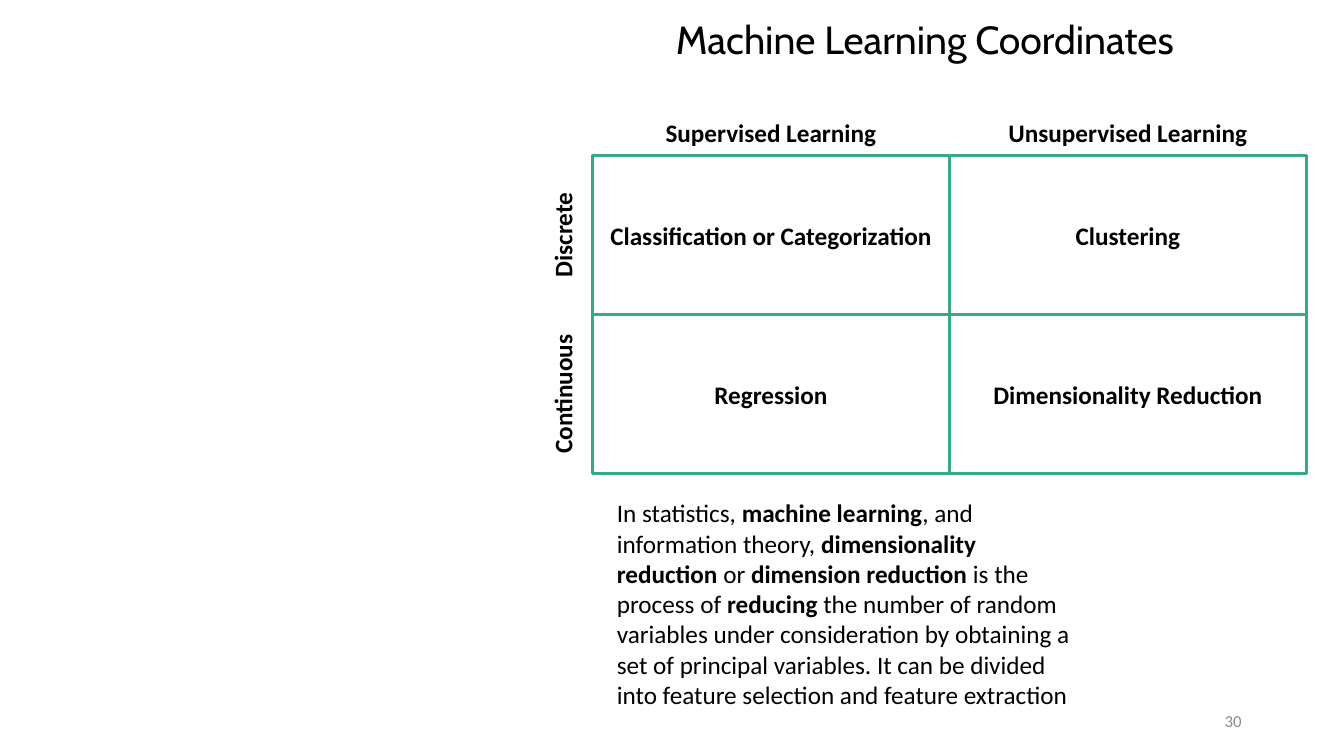
from pptx import Presentation
from pptx.dml.color import RGBColor
from pptx.enum import shapes, text
from pptx.util import Pt

BLACK = RGBColor(0x00, 0x00, 0x00)
WHITE = RGBColor(0xFF, 0xFF, 0xFF)
GREEN = RGBColor(0x37, 0xAA, 0x84)
GRAY = RGBColor(0x8C, 0x8C, 0x8C)

COLUMNS = ["Supervised Learning", "Unsupervised Learning"]
ROWS = ["Discrete", "Continuous"]
METHODS = [
    ["Classification or Categorization", "Clustering"],
    ["Regression", "Dimensionality Reduction"],
]
DEFINITION = [
    ("In statistics,\u00a0", False),
    ("machine learning", True),
    (", and information theory,\u00a0", False),
    ("dimensionality reduction ", True),
    ("or\u00a0", False),
    ("dimension reduction", True),
    ("\u00a0is the process of\u00a0", False),
    ("reducing", True),
    ("\u00a0the number of random variables under consideration by obtaining "
     "a set of principal variables. It can be divided into feature selection "
     "and feature extraction", False),
]
LABEL_HEIGHT = 29


def write(shape, spans, size=18, font="Calibri", color=BLACK,
          align=text.PP_ALIGN.CENTER, anchor=text.MSO_ANCHOR.TOP, spacing=1.0):
    frame = shape.text_frame
    frame.word_wrap = True
    frame.vertical_anchor = anchor
    para = frame.paragraphs[0]
    para.alignment = align
    para.line_spacing = spacing
    for words, bold in spans:
        span = para.add_run()
        span.text = words
        span.font.name = font
        span.font.size = Pt(size)
        span.font.bold = bold
        span.font.color.rgb = color


def add_text(page, box, spans, **style):
    shape = page.shapes.add_textbox(*map(Pt, box))
    write(shape, spans, **style)
    return shape


def add_title(page, box):
    add_text(page, box, [("Machine Learning Coordinates", False)],
             size=28, font="Cabin", spacing=0.9)


def add_method(page, box, name):
    cell = page.shapes.add_shape(
        shapes.MSO_SHAPE.FLOWCHART_PROCESS, *map(Pt, box))
    cell.shadow.inherit = False
    cell.fill.solid()
    cell.fill.fore_color.rgb = WHITE
    cell.line.color.rgb = GREEN
    cell.line.width = Pt(2.25)
    write(cell, [(name, True)], anchor=text.MSO_ANCHOR.MIDDLE)


def add_matrix(page, box):
    left, top, width, height = box
    cell_width = width / len(COLUMNS)
    cell_height = height / len(ROWS)
    for row, methods in enumerate(METHODS):
        for column, name in enumerate(methods):
            add_method(page, (left + column * cell_width,
                              top + row * cell_height,
                              cell_width, cell_height), name)
    for column, name in enumerate(COLUMNS):
        add_text(page, (left + column * cell_width, top - LABEL_HEIGHT - 1.5,
                        cell_width, LABEL_HEIGHT), [(name, True)])
    for row, name in enumerate(ROWS):
        middle = top + (row + 0.5) * cell_height
        label = add_text(page, (left - 21.5 - cell_height / 2,
                                middle - LABEL_HEIGHT / 2,
                                cell_height, LABEL_HEIGHT), [(name, True)])
        label.rotation = 270


def add_definition(page, box):
    add_text(page, box, DEFINITION, align=text.PP_ALIGN.LEFT)


def add_page_number(page, box):
    add_text(page, box, [("30", False)], size=12, color=GRAY,
             align=text.PP_ALIGN.RIGHT, anchor=text.MSO_ANCHOR.MIDDLE)


def main():
    deck = Presentation()
    deck.slide_width = Pt(960)
    deck.slide_height = Pt(540)
    page = deck.slides.add_slide(deck.slide_layouts[6])
    add_title(page, (387.5, 11.5, 546, 44))
    add_matrix(page, (423.2, 111, 510, 227.5))
    add_definition(page, (433.5, 352, 345, 160))
    add_page_number(page, (678, 500.5, 216, 28.8))
    deck.save("out.pptx")


if __name__ == "__main__":
    main()
